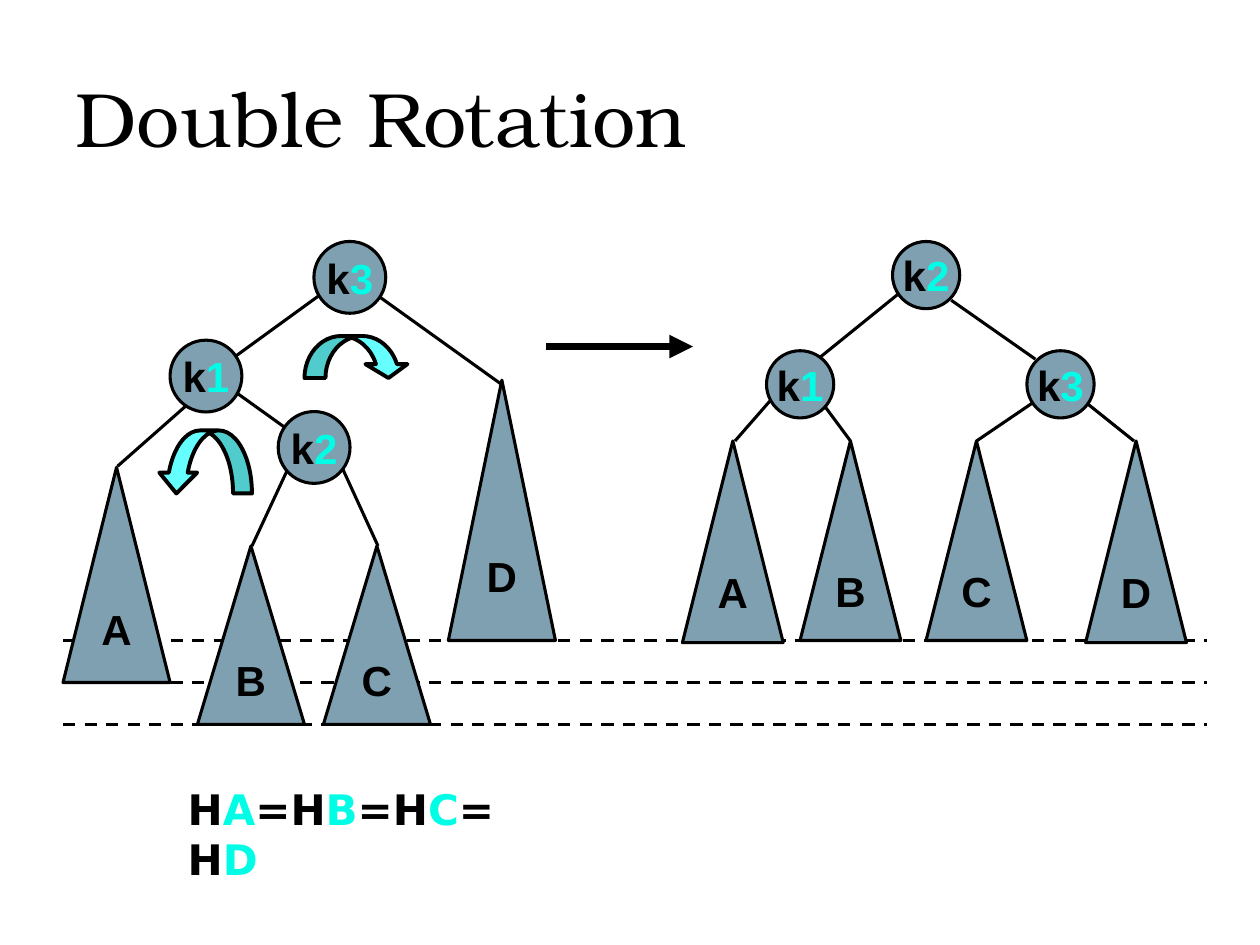
import pptx
import pptx.util
import pptx.dml.color
import pptx.enum.dml
import pptx.enum.shapes
import pptx.enum.text
import pptx.oxml.ns
import lxml.etree

COLORS = {"ink": "000000", "node": "7FA0B1", "accent": "00FEE7", "turn": "66FFFF"}
WIDTH, HEIGHT = pptx.util.Inches(10), pptx.util.Inches(7.5)
COLUMNS, ROWS = 120, 90
SHAPE = pptx.enum.shapes.MSO_SHAPE
ANCHOR = pptx.enum.text.MSO_ANCHOR
ALIGN = pptx.enum.text.PP_ALIGN

RAILS = (69, 65, 61)
BEFORE = {
    "node_size": 6.84,
    "base_width": 10.2,
    "edges": [(22.2, 34.1, 31.7, 27.2), (27.4, 40.9, 21.4, 36.6), (35.9, 28.1, 47.9, 36.7),
              (31.7, 42.6, 36, 52), (11.2, 44.4, 18, 38.4), (28.1, 43.2, 24, 52)],
    "nodes": [("3", 29.9, 23), ("1", 16.2, 32.4), ("2", 26.5, 39.2)],
    "subtrees": [("A", 6, 44.5, 65), ("B", 18.8, 52, 69), ("C", 30.8, 52, 69), ("D", 42.7, 36.2, 61)],
}
AFTER = {
    "node_size": 6.4,
    "base_width": 9.6,
    "edges": [(90.6, 28.6, 98.6, 34.2), (93, 42, 98.6, 38.2), (103, 38, 108, 42),
              (77, 36.6, 81, 42), (70, 42, 76.2, 34.9), (85.8, 27.8, 76.9, 35)],
    "nodes": [("2", 85, 23), ("1", 73, 33.4), ("3", 97.8, 33.4)],
    "subtrees": [("A", 65, 42, 61.2), ("B", 76.2, 42, 61), ("C", 88.2, 42, 61), ("D", 103.4, 42, 61.2)],
}


def col(count):
    return round(WIDTH * count / COLUMNS)


def row(count):
    return round(HEIGHT * count / ROWS)


def place(left, top, width, height):
    return col(left), row(top), col(width), row(height)


def color(name):
    return pptx.dml.color.RGBColor.from_string(COLORS[name])


def write(box, *pieces, font="Arial", size=24, bold=True, align=ALIGN.CENTER,
          anchor=ANCHOR.MIDDLE, wrap=False):
    frame = box.text_frame
    frame.word_wrap = wrap
    frame.vertical_anchor = anchor
    para = frame.paragraphs[0]
    para.alignment = align
    for index, piece in enumerate(pieces):
        span = para.add_run()
        span.text = piece
        span.font.name = font
        span.font.size = pptx.util.Pt(size)
        span.font.bold = bold
        span.font.color.rgb = color("accent" if index % 2 else "ink")


def add_line(page, start_x, start_y, end_x, end_y, weight=1.75, dashed=False, arrow=False):
    line = page.shapes.add_connector(
        pptx.enum.shapes.MSO_CONNECTOR.STRAIGHT, col(start_x), row(start_y), col(end_x), row(end_y))
    line.line.color.rgb = color("ink")
    line.line.width = pptx.util.Pt(weight)
    if dashed:
        line.line.dash_style = pptx.enum.dml.MSO_LINE.DASH
    if arrow:
        outline = line.line._get_or_add_ln()
        lxml.etree.SubElement(outline, pptx.oxml.ns.qn("a:tailEnd"), type="triangle")
    lxml.etree.SubElement(line._element.spPr, pptx.oxml.ns.qn("a:effectLst"))


def add_figure(page, kind, bounds, fill="node", weight=1.75):
    figure = page.shapes.add_shape(kind, *place(*bounds))
    figure.shadow.inherit = False
    figure.fill.solid()
    figure.fill.fore_color.rgb = color(fill)
    figure.line.color.rgb = color("ink")
    figure.line.width = pptx.util.Pt(weight)
    return figure


def add_tree(page, tree):
    for edge in tree["edges"]:
        add_line(page, *edge)
    for name, left, top, base in tree["subtrees"]:
        bounds = (left, top, tree["base_width"], base - top)
        write(add_figure(page, SHAPE.ISOSCELES_TRIANGLE, bounds), name)
    for number, left, top in tree["nodes"]:
        bounds = (left, top, tree["node_size"], tree["node_size"])
        write(add_figure(page, SHAPE.OVAL, bounds), "k", number)


def add_turn(page, bounds, adjustments, mirrored=False):
    turn = add_figure(page, SHAPE.CURVED_DOWN_ARROW, bounds, fill="turn", weight=2.25)
    for index, value in enumerate(adjustments):
        turn.adjustments[index] = value
    if mirrored:
        turn._element.spPr.xfrm.set("flipH", "1")


def add_text(page, bounds, *pieces, **style):
    box = page.shapes.add_textbox(*place(*bounds))
    write(box, *pieces, align=ALIGN.LEFT, wrap=True, **style)


def main():
    deck = pptx.Presentation()
    deck.slide_width, deck.slide_height = WIDTH, HEIGHT
    page = deck.slides.add_slide(deck.slide_layouts[6])
    add_text(page, (6, 3.6, 108, 15), "Double Rotation", font="TeX Gyre Bonum", size=44, bold=False)
    for level in RAILS:
        add_line(page, 6, level, 115, level, dashed=True)
    add_tree(page, BEFORE)
    add_tree(page, AFTER)
    add_line(page, 52, 33, 66, 33, weight=4.5, arrow=True)
    add_turn(page, (15, 41, 9, 6), (0.3, 0.6, 0.33), mirrored=True)
    add_turn(page, (29, 32, 10, 4), (0.5, 1, 0.33))
    add_text(page, (16.7, 74, 32.4, 10.8), "H", "A", "=H", "B", "=H", "C", "=H", "D",
             font="DejaVu Sans", anchor=ANCHOR.TOP)
    deck.save("out.pptx")


if __name__ == "__main__":
    main()
